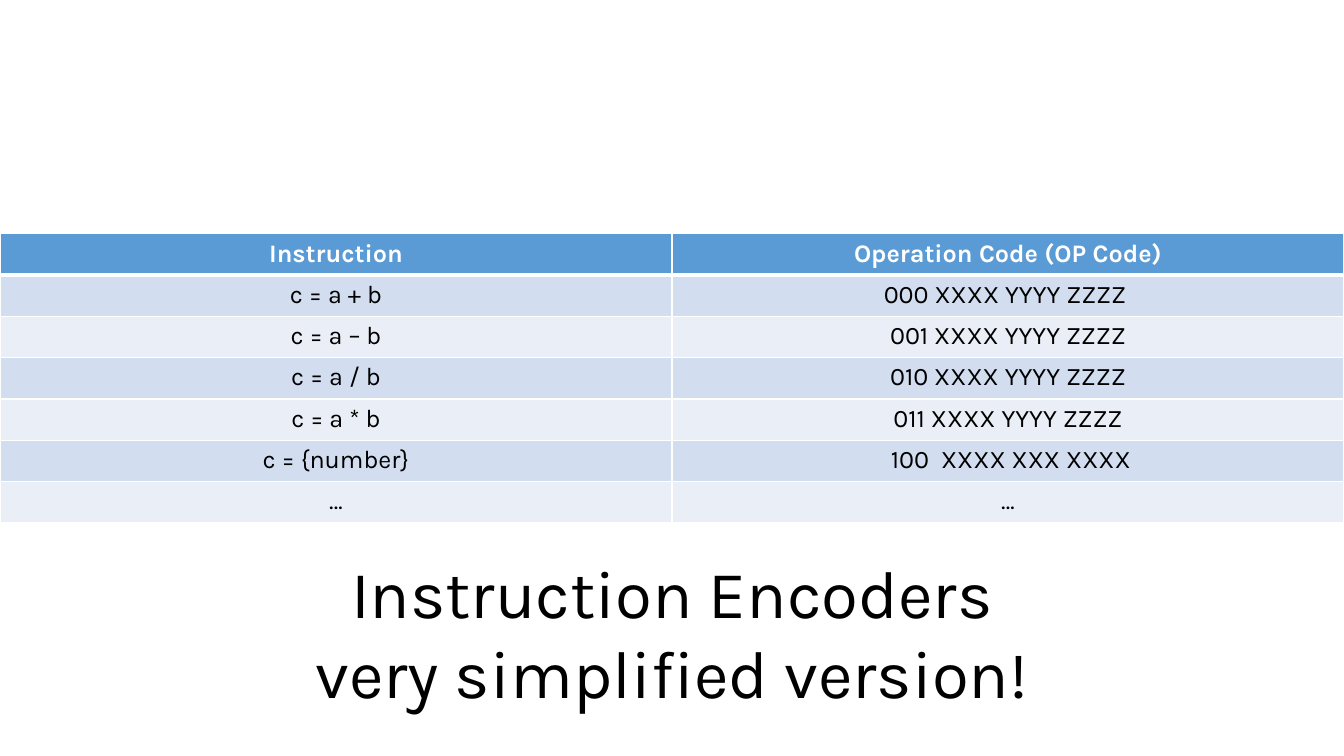
from lxml import etree
from pptx import Presentation
from pptx.dml import color
from pptx.enum import text
from pptx.oxml import ns
from pptx.util import Pt

FONT = "Karla"
WIDE, HIGH = 960, 540
ROW = 29.52
HEAD, DARK, LIGHT = "5B9BD5", "D2DEEF", "EAEFF7"
CODES = [
    ("Instruction", "Operation Code (OP Code)"),
    ("c = a + b", "000 XXXX YYYY ZZZZ "),
    ("c = a – b", "001 XXXX YYYY ZZZZ"),
    ("c = a / b", "010 XXXX YYYY ZZZZ"),
    ("c = a * b", "011 XXXX YYYY ZZZZ"),
    ("c = {number}", " 100  XXXX XXX XXXX"),
    ("…", "…"),
]


def paint(fill, shade):
    fill.solid()
    fill.fore_color.rgb = color.RGBColor.from_string(shade)


def style(frame, size, shade, bold=False):
    for para in frame.paragraphs:
        para.alignment = text.PP_ALIGN.CENTER
        for run in para.runs:
            font = run.font
            font.name, font.size, font.bold = FONT, Pt(size), bold
            paint(font.fill, shade)


def border(cell, side, width):
    props = cell._tc.get_or_add_tcPr()
    line = etree.SubElement(props, ns.qn("a:" + side), w=str(Pt(width)))
    fill = etree.SubElement(line, ns.qn("a:solidFill"))
    etree.SubElement(fill, ns.qn("a:srgbClr"), val="FFFFFF")


def add_codes(slide):
    count = len(CODES)
    frame = slide.shapes.add_table(
        count, 2, Pt(0), Pt(167), Pt(WIDE), Pt(ROW * count))
    table = frame.table
    for r, words in enumerate(CODES):
        table.rows[r].height = Pt(ROW)
        top = r == 0
        shade = HEAD if top else DARK if r % 2 else LIGHT
        for c, word in enumerate(words):
            cell = table.cell(r, c)
            cell.text_frame.text = word
            style(cell.text_frame, 18, "FFFFFF" if top else "000000", top)
            # The rule below the header is thicker
            border(cell, "lnL", 1)
            border(cell, "lnR", 1)
            border(cell, "lnT", 3 if r == 1 else 1)
            border(cell, "lnB", 3 if top else 1)
            paint(cell.fill, shade)


def set_title(slide):
    title = slide.shapes.title
    title.left, title.top = Pt(0), Pt(390)
    title.width, title.height = Pt(WIDE), Pt(124)
    frame = title.text_frame
    frame.text = "Instruction Encoders\nvery simplified version!"
    frame.word_wrap = True
    frame.auto_size = text.MSO_AUTO_SIZE.NONE
    frame.vertical_anchor = text.MSO_ANCHOR.TOP
    style(frame, 48, "000000")


def main():
    deck = Presentation()
    deck.slide_width, deck.slide_height = Pt(WIDE), Pt(HIGH)
    slide = deck.slides.add_slide(deck.slide_layouts[5])
    # Table of instructions, with the title below it
    add_codes(slide)
    set_title(slide)
    deck.save("out.pptx")


if __name__ == "__main__":
    main()
